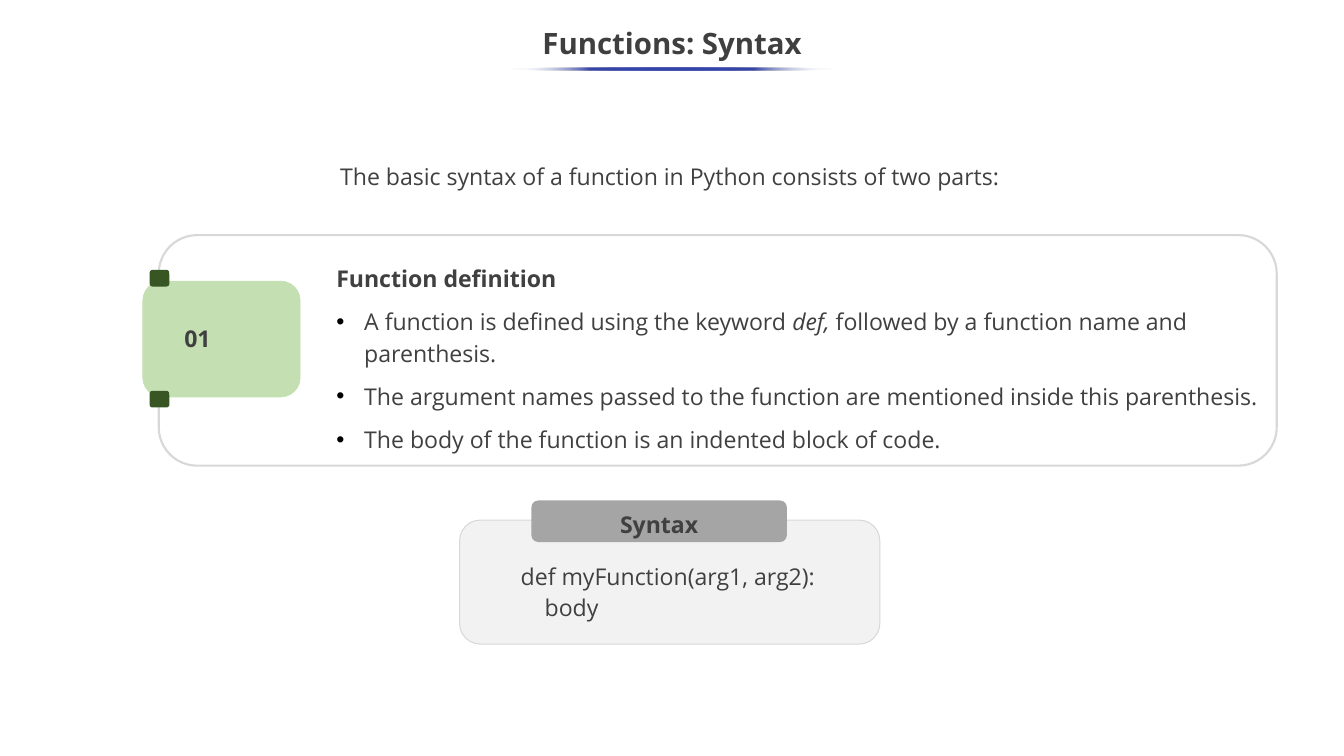
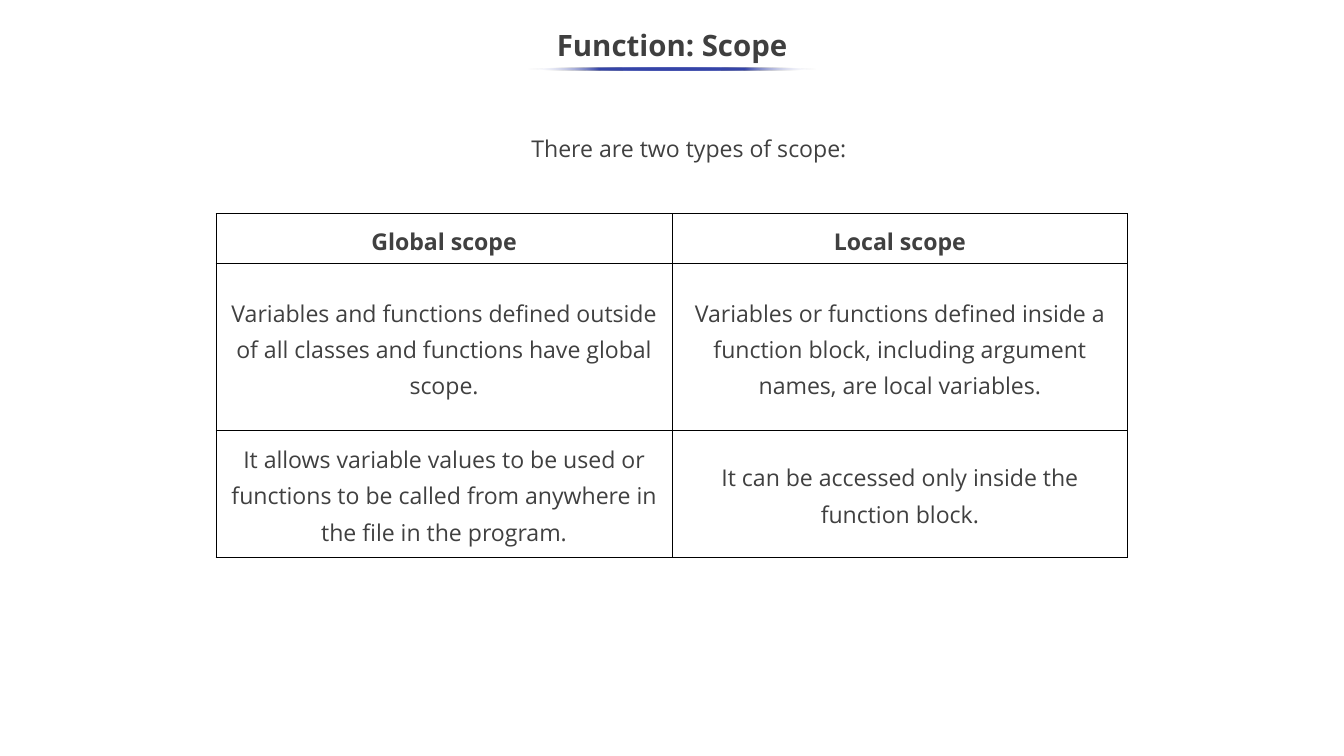
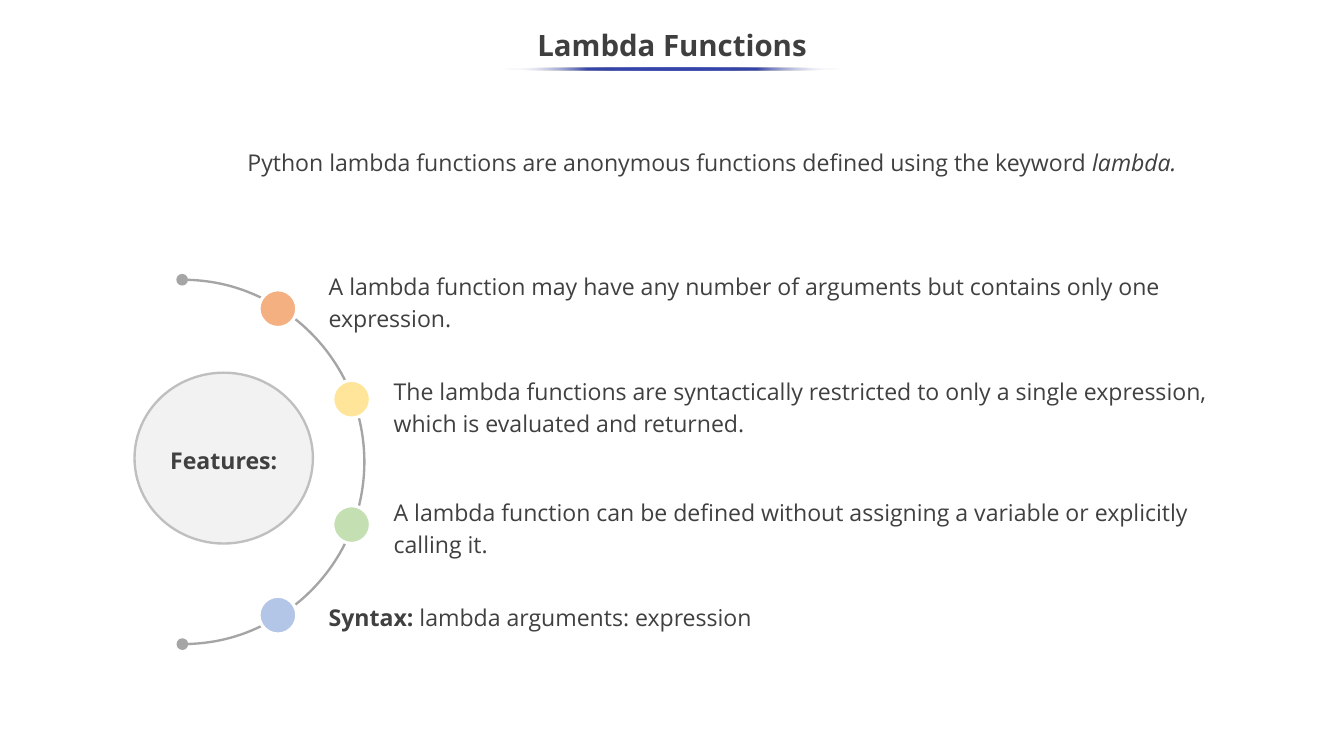
from math import cos, radians, sin

from lxml import etree
from pptx import Presentation
from pptx.dml.color import RGBColor
from pptx.enum.shapes import MSO_SHAPE
from pptx.enum.text import MSO_ANCHOR, PP_ALIGN
from pptx.oxml import parse_xml
from pptx.oxml.ns import qn
from pptx.util import Inches, Pt

ROUND, OVAL, ARC = MSO_SHAPE.ROUNDED_RECTANGLE, MSO_SHAPE.OVAL, MSO_SHAPE.ARC
LEFT, CENTER = PP_ALIGN.LEFT, PP_ALIGN.CENTER
TOP, MIDDLE = MSO_ANCHOR.TOP, MSO_ANCHOR.MIDDLE

WIDTH, HEIGHT = 17.78, 10
FONT = "Open Sans"
TITLE_SIZE, BODY_SIZE = 28, 22
LINE_SPACING = 1.15
BODY_GAP = 10.7
NAMESPACE = 'xmlns:a="http://schemas.openxmlformats.org/drawingml/2006/main"'
COLORS = {
    "white": "FFFFFF", "black": "000000", "title": "3F3F3F", "text": "404040",
    "accent": "3645A9", "panel": "F2F2F2", "border": "D8D8D8", "ring": "BFBFBF",
    "gray": "A5A5A5", "green": "C4E0B2", "dark green": "385623",
    "orange": "F4B081", "yellow": "FEE599", "blue": "B3C6E7",
}

# Content: a paragraph is a list of (text, style) spans, style "b" bold or "i" italic
SYNTAX = {
    "title": "Functions: Syntax",
    "intro": [("The basic syntax of a function in Python consists of two parts:", "")],
    "number": [("01", "b")],
    "heading": [("Function definition", "b")],
    "points": [
        [("A function is defined using the keyword ", ""), ("def, ", "i"),
         ("followed by a function name and parenthesis.", "")],
        [("The argument names passed to the function are mentioned inside this parenthesis.", "")],
        [("The body of the function is an indented block of code.", "")],
    ],
    "label": [("Syntax", "b")],
    "code": [[("def myFunction(arg1, arg2):", "")], [("    body", "")]],
}
SCOPE = {
    "title": "Function: Scope",
    "intro": [("There are two types of scope:", "")],
    "rows": [
        ("Global scope", "Local scope"),
        ("Variables and functions defined outside of all classes and functions have global scope.",
         "Variables or functions defined inside a function block, including argument names, "
         "are local variables."),
        ("It allows variable values to be used or functions to be called from anywhere "
         "in the file in the program.",
         "It can be accessed only inside the function block."),
    ],
    "heights": [0.66, 2.2, 1.68],
}
LAMBDA = {
    "title": "Lambda Functions",
    "intro": [("Python lambda functions are anonymous functions defined using the keyword ", ""),
              ("lambda.", "i")],
    "hub": [("Features:", "b")],
    # dot colour, angle on the arc, text box (left, top, width, height), spans
    "features": [
        ("orange", -58, (4.25, 3.5, 11.52, 0.95),
         [("A lambda function may have any number of arguments but contains only one "
           "expression.", "")]),
        ("yellow", -20.3, (5.11, 4.89, 11.27, 0.95),
         [("The lambda functions are syntactically restricted to only a single expression, "
           "which is evaluated and returned.", "")]),
        ("green", 20.3, (5.11, 6.49, 11.27, 0.95),
         [("A lambda function can be defined without assigning a variable or explicitly "
           "calling it.", "")]),
        ("blue", 58, (4.25, 7.88, 11.86, 0.53),
         [("Syntax: ", "b"), ("lambda arguments: expression", "")]),
    ],
}


def rgb(name):
    return RGBColor.from_string(COLORS[name])


def fill_paragraph(para, spans, align=LEFT, spacing=LINE_SPACING, before=0, bullet=False,
                   size=BODY_SIZE, color="text"):
    if bullet:
        properties = para._p.get_or_add_pPr()
        properties.set("marL", str(Inches(0.37)))
        properties.set("indent", str(-Inches(0.37)))
        for xml in (f'<a:buClr {NAMESPACE}><a:srgbClr val="{COLORS["black"]}"/></a:buClr>',
                    f'<a:buFont {NAMESPACE} typeface="Arial"/>',
                    f'<a:buChar {NAMESPACE} char="•"/>'):
            properties.append(parse_xml(xml))
    para.alignment = align
    para.line_spacing = spacing
    if before:
        para.space_before = Pt(before)
    para.font.name = FONT
    para.font.size = Pt(size)
    para.font.color.rgb = rgb(color)
    for text, style in spans:
        span = para.add_run()
        span.text = text
        if style == "b":
            span.font.bold = True
        elif style == "i":
            span.font.italic = True


def write(shape, paragraphs, anchor=TOP, gap=0, bullets_from=None, **style):
    frame = shape.text_frame
    frame.word_wrap = True
    frame.vertical_anchor = anchor
    for index, spans in enumerate(paragraphs):
        para = frame.add_paragraph() if index else frame.paragraphs[0]
        fill_paragraph(para, spans, before=gap if index else 0,
                       bullet=bullets_from is not None and index >= bullets_from, **style)


def add_text(page, area, paragraphs, **style):
    box = page.shapes.add_textbox(*map(Inches, area))
    write(box, paragraphs, **style)


def add_shape(page, kind, area, fill=None, line=None, weight=1):
    shape = page.shapes.add_shape(kind, *map(Inches, area))
    shape.shadow.inherit = False
    if fill:
        shape.fill.solid()
        shape.fill.fore_color.rgb = rgb(fill)
    else:
        shape.fill.background()
    if line:
        shape.line.color.rgb = rgb(line)
        shape.line.width = Pt(weight)
    else:
        shape.line.fill.background()
    return shape


def around(x, y, width, height):
    """Area of the given size centred on a point."""
    return x - width / 2, y - height / 2, width, height


def add_title(page, title, top, rule_width, spacing):
    add_text(page, (0, top, WIDTH, 0.75), [[(title, "b")]], anchor=MIDDLE,
             align=CENTER, spacing=spacing, size=TITLE_SIZE, color="title")
    # Underline fading out at both ends
    rule = add_shape(page, OVAL, around(WIDTH / 2, 0.91, rule_width, 0.04))
    stops = ""
    for share in (0, 25, 50, 75, 100):
        edge = share in (0, 100)
        color = COLORS["white" if edge else "accent"]
        alpha = '<a:alpha val="0"/>' if edge else ""
        stops += f'<a:gs pos="{share * 1000}"><a:srgbClr val="{color}">{alpha}</a:srgbClr></a:gs>'
    gradient = parse_xml(f'<a:gradFill {NAMESPACE}><a:gsLst>{stops}</a:gsLst>'
                         '<a:lin ang="10800000" scaled="0"/></a:gradFill>')
    properties = rule._element.spPr
    properties.replace(properties.find(qn("a:noFill")), gradient)


def build_syntax(page):
    add_title(page, SYNTAX["title"], 0.15, 4.29, LINE_SPACING)
    add_text(page, (3.44, 2.05, 10.84, 0.55), [SYNTAX["intro"]], align=CENTER)

    # Definition card with its number tab
    add_shape(page, ROUND, (2.1, 3.11, 14.79, 3.05), "white", "border", 2)
    add_shape(page, ROUND, (1.89, 3.72, 2.08, 1.53), "green", "green", 0.75)
    for clip_y in (3.68, 5.28):
        add_shape(page, ROUND, around(2.11, clip_y, 0.26, 0.22), "dark green")
    add_text(page, (2.34, 4.16, 1.2, 0.58), [SYNTAX["number"]], anchor=MIDDLE)
    add_text(page, (4.35, 3.39, 12.55, 2.69), [SYNTAX["heading"], *SYNTAX["points"]],
             gap=BODY_GAP, bullets_from=1)

    # Code panel
    add_shape(page, ROUND, (6.08, 6.88, 5.56, 1.64), "panel", "border")
    label = add_shape(page, ROUND, (7.03, 6.62, 3.38, 0.55), "gray")
    write(label, [SYNTAX["label"]], align=CENTER)
    add_text(page, (6.79, 7.33, 4.45, 0.95), SYNTAX["code"])


def add_border(cell):
    properties = cell._tc.get_or_add_tcPr()
    for index, side in enumerate(("lnL", "lnR", "lnT", "lnB")):
        edge = etree.Element(qn(f"a:{side}"), w=str(Pt(1)))
        fill = etree.SubElement(edge, qn("a:solidFill"))
        etree.SubElement(fill, qn("a:srgbClr"), val=COLORS["black"])
        properties.insert(index, edge)


def build_scope(page):
    add_title(page, SCOPE["title"], 0.25, 3.81, 0.9)
    add_text(page, (3.3, 1.67, 11.63, 0.53), [SCOPE["intro"]], align=CENTER)

    # Comparison table
    rows, heights = SCOPE["rows"], SCOPE["heights"]
    area = (2.86, 2.83, 12.06, sum(heights))
    table = page.shapes.add_table(len(rows), len(rows[0]), *map(Inches, area)).table
    table.first_row = table.horz_banding = False
    for row_index, texts in enumerate(rows):
        table.rows[row_index].height = Inches(heights[row_index])
        for column_index, text in enumerate(texts):
            cell = table.cell(row_index, column_index)
            cell.fill.background()
            cell.vertical_anchor = MIDDLE
            add_border(cell)
            style = "" if row_index else "b"
            fill_paragraph(cell.text_frame.paragraphs[0], [(text, style)], CENTER)


def build_lambda(page):
    add_title(page, LAMBDA["title"], 0.25, 4.46, 0.9)
    intro = add_shape(page, ROUND, (1.4, 1.45, 16.04, 1.35))
    write(intro, [LAMBDA["intro"]], anchor=MIDDLE, align=CENTER)

    # Half-circle track with round ends, and the hub
    center_x, center_y, radius = 2.41, 6.11, 2.41
    track = add_shape(page, ARC, around(center_x, center_y, 2 * radius, 2 * radius),
                      line="gray", weight=2.25)
    track.adjustments[0], track.adjustments[1] = 162, 53.96
    outline = track.line._get_or_add_ln()
    for end in ("headEnd", "tailEnd"):
        etree.SubElement(outline, qn(f"a:{end}"), type="oval", w="lg", len="lg")
    hub = add_shape(page, OVAL, (1.78, 4.93, 2.36, 2.26), "panel", "ring", 2.25)
    write(hub, [LAMBDA["hub"]], anchor=MIDDLE, align=CENTER)

    # Features along the track
    dot_radius = 2.39
    for color, angle, area, spans in LAMBDA["features"]:
        turn = radians(angle)
        dot = around(center_x + dot_radius * cos(turn), center_y + dot_radius * sin(turn),
                     0.5, 0.5)
        add_shape(page, OVAL, dot, color, "white", 3)
        add_text(page, area, [spans])


def main():
    deck = Presentation()
    deck.slide_width, deck.slide_height = Inches(WIDTH), Inches(HEIGHT)
    for build in (build_syntax, build_scope, build_lambda):
        build(deck.slides.add_slide(deck.slide_layouts[6]))
    deck.save("out.pptx")


if __name__ == "__main__":
    main()
